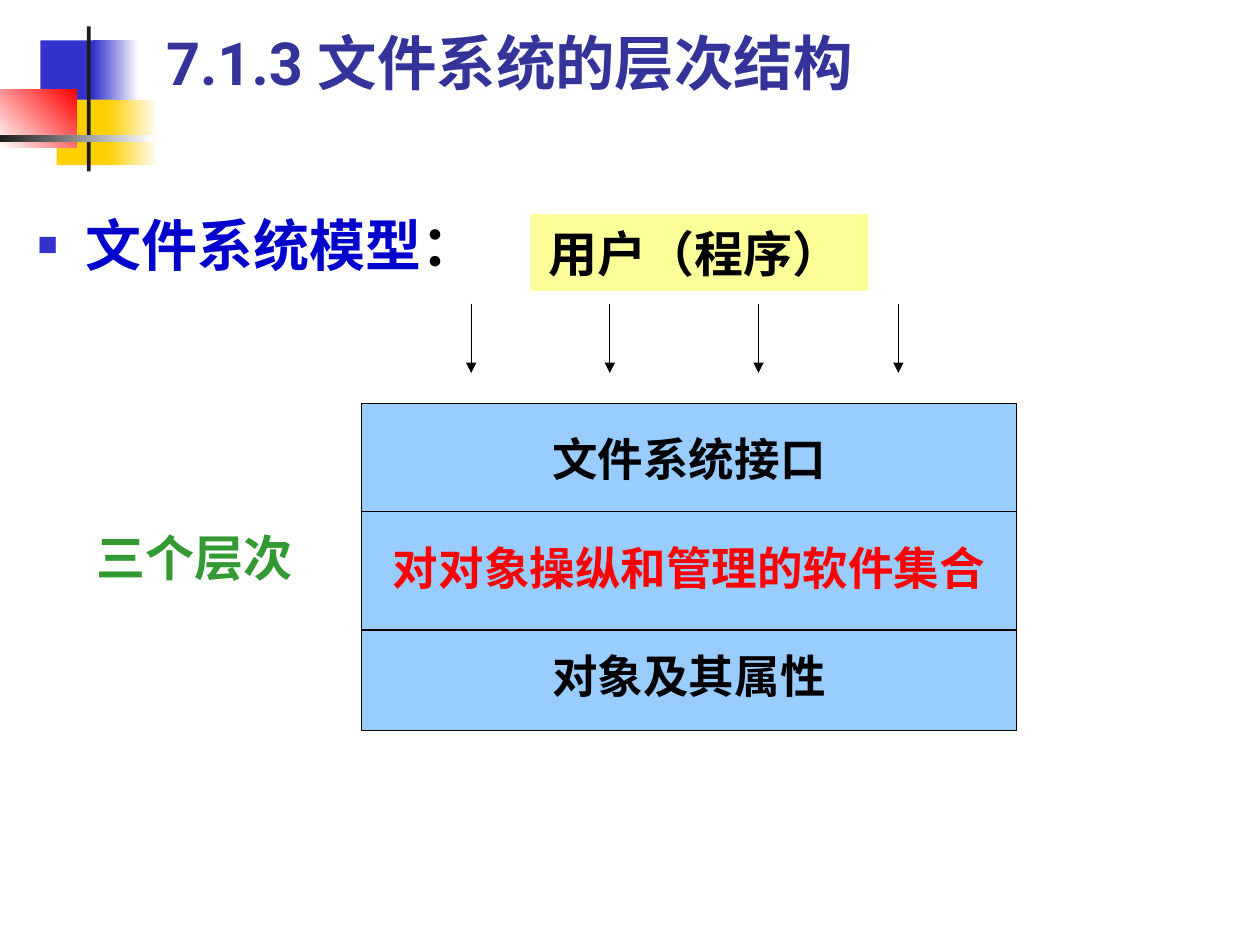
from lxml.etree import SubElement
from pptx import Presentation
from pptx.dml.color import RGBColor
from pptx.enum.shapes import MSO_CONNECTOR, MSO_SHAPE
from pptx.enum.text import MSO_ANCHOR, PP_ALIGN
from pptx.oxml.ns import qn
from pptx.util import Inches, Pt

COLORS = {
    "white": "FFFFFF", "black": "000000", "charcoal": "1C1C1C",
    "indigo": "3333CC", "gold": "FFCF01", "red": "FF0000",
    "title": "333399", "heading": "0000CC", "green": "339933",
    "layer": "99CCFF", "user": "FFFF99",
}


def add_rectangle(left, top, width, height, *colors, angle=0):
    """One colour gives a solid fill, two give a linear gradient."""
    shape = slide.shapes.add_shape(
        MSO_SHAPE.RECTANGLE, Inches(left), Inches(top), Inches(width), Inches(height))
    shape.shadow.inherit = False
    shape.line.fill.background()
    if len(colors) == 1:
        shape.fill.solid()
        shape.fill.fore_color.rgb = RGBColor.from_string(COLORS[colors[0]])
    else:
        shape.fill.gradient()
        shape.fill.gradient_angle = angle
        for stop, color, position in zip(shape.fill.gradient_stops, colors, (0, 1)):
            stop.color.rgb = RGBColor.from_string(COLORS[color])
            stop.position = position
    return shape


def add_bold_run(paragraph, text, size, typeface, color):
    run = paragraph.add_run()
    run.text = text
    for name, value in {"size": Pt(size), "bold": True, "name": typeface}.items():
        setattr(run.font, name, value)
    run.font.color.rgb = RGBColor.from_string(COLORS[color])
    SubElement(run.font._element, qn("a:ea"), typeface=typeface)


presentation = Presentation()
presentation.slide_width = Inches(10)
presentation.slide_height = Inches(7.5)
slide = presentation.slides.add_slide(presentation.slide_layouts[6])

# Corner decoration
add_rectangle(0.32, 0.32, 0.48, 0.52, "indigo")
add_rectangle(0.74, 0.32, 0.36, 0.52, "indigo", "white")
add_rectangle(0.45, 0.79, 0.46, 0.52, "gold")
add_rectangle(0.86, 0.79, 0.4, 0.52, "gold", "white")
add_rectangle(0, 0.71, 0.61, 0.46, "white", "red", angle=45)
add_rectangle(0.69, 0.21, 0.03, 1.15, "charcoal")
add_rectangle(0, 1.07, 1.22, 0.06, "charcoal", "white")

# Title, heading and side label
text_boxes = [
    ((1.22, 0.13, 8.11, 0.7), True, MSO_ANCHOR.BOTTOM,
     [("7.1.3 文件系统的层次结构", 34, "Roboto", "title")]),
    ((0.2, 1.62, 4.37, 0.79), True, MSO_ANCHOR.TOP,
     [("文件系统模型", 32, "Roboto", "heading"), ("：", 32, "Roboto", "black")]),
    ((0.67, 4.14, 1.75, 0.57), False, MSO_ANCHOR.TOP,
     [("三个层次", 28, "Arial", "green")]),
]
paragraphs = []
for box, wrap, anchor, runs in text_boxes:
    frame = slide.shapes.add_textbox(*map(Inches, box)).text_frame
    frame.word_wrap = wrap
    frame.vertical_anchor = anchor
    paragraph = frame.paragraphs[0]
    paragraphs.append(paragraph)
    for run in runs:
        add_bold_run(paragraph, *run)

title, heading, side_label = paragraphs
title.line_spacing = 0.9
properties = heading._p.get_or_add_pPr()
properties.set("marL", str(Inches(0.38)))
properties.set("indent", str(Inches(-0.38)))
bullet_color = SubElement(properties, qn("a:buClr"))
SubElement(bullet_color, qn("a:srgbClr"), val=COLORS["indigo"])
SubElement(properties, qn("a:buSzPct"), val="60000")
SubElement(properties, qn("a:buFont"), typeface="Arial")
SubElement(properties, qn("a:buChar"), char="■")

# Three layers in one box
left, right = 2.87, 8.07
layers = add_rectangle(left, 3.2, right - left, 2.6, "layer")
layers.line.color.rgb = RGBColor.from_string(COLORS["black"])
layers.line.width = Pt(0.75)
layers.text_frame.word_wrap = False
layers.text_frame.vertical_anchor = MSO_ANCHOR.MIDDLE
layer_texts = [("文件系统接口", "black"), ("对对象操纵和管理的软件集合", "red"),
               ("对象及其属性", "black")]
for index, (text, color) in enumerate(layer_texts):
    if index == 0:
        paragraph = layers.text_frame.paragraphs[0]
    else:
        paragraph = layers.text_frame.add_paragraph()
        paragraph.space_before = Pt(31)
    paragraph.alignment = PP_ALIGN.CENTER
    add_bold_run(paragraph, text, 26, "DejaVu Sans", color)

# Layer dividers and the arrows from the user
dividers = [(left, y, right, y, False) for y in (4.06, 5)]
arrows = [(x, 2.41, x, 2.96, True) for x in (3.74, 4.84, 6.02, 7.13)]
for *ends, has_head in dividers + arrows:
    connector = slide.shapes.add_connector(MSO_CONNECTOR.STRAIGHT, *map(Inches, ends))
    connector.line.color.rgb = RGBColor.from_string(COLORS["black"])
    connector.line.width = Pt(0.75)
    if has_head:
        SubElement(connector.line._get_or_add_ln(), qn("a:tailEnd"), type="triangle")
    SubElement(connector._element.spPr, qn("a:effectLst"))

# User box
user = add_rectangle(4.21, 1.7, 2.68, 0.61, "user")
frame_format = {
    "margin_left": Inches(0.14), "margin_right": Inches(0.14),
    "margin_top": Inches(0.07), "margin_bottom": Inches(0.07),
    "word_wrap": True, "vertical_anchor": MSO_ANCHOR.TOP,
}
for name, value in frame_format.items():
    setattr(user.text_frame, name, value)
user.text_frame.paragraphs[0].alignment = PP_ALIGN.LEFT
add_bold_run(user.text_frame.paragraphs[0], "用户（程序）", 28, "DejaVu Sans", "black")

presentation.save("out.pptx")
